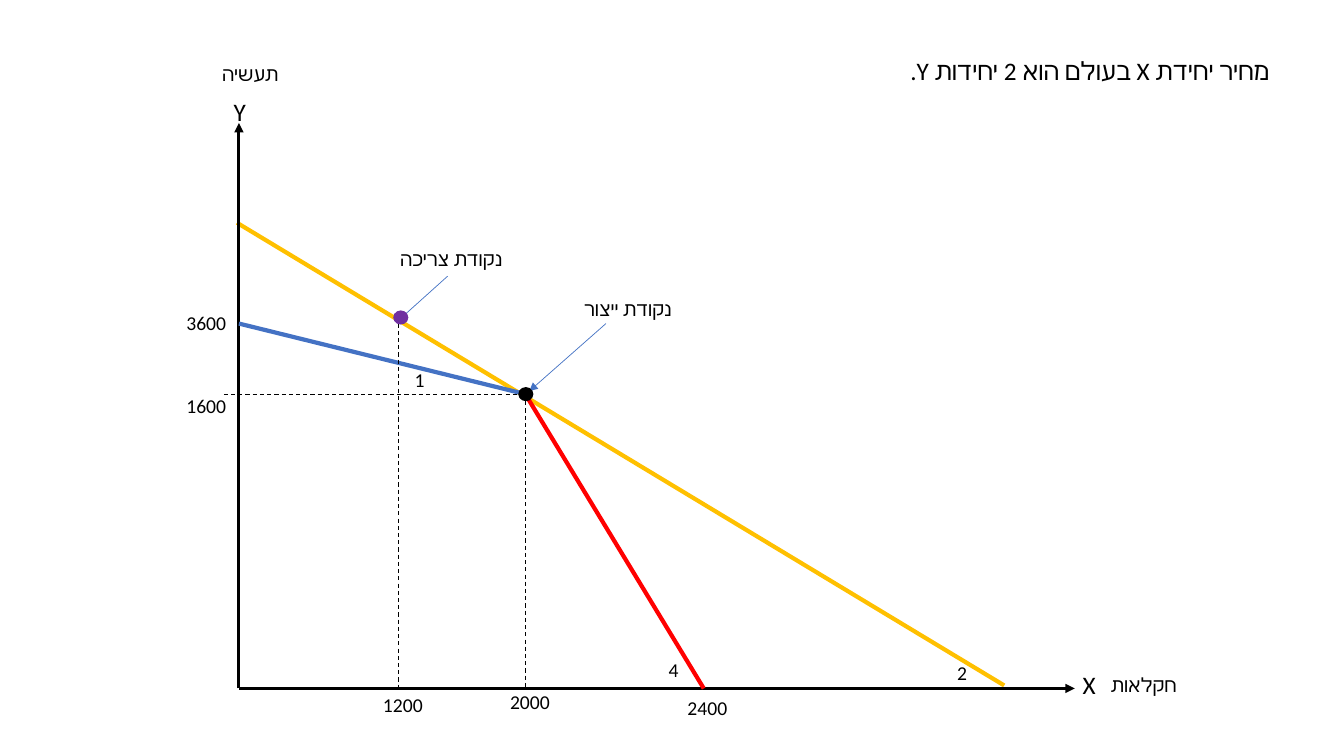
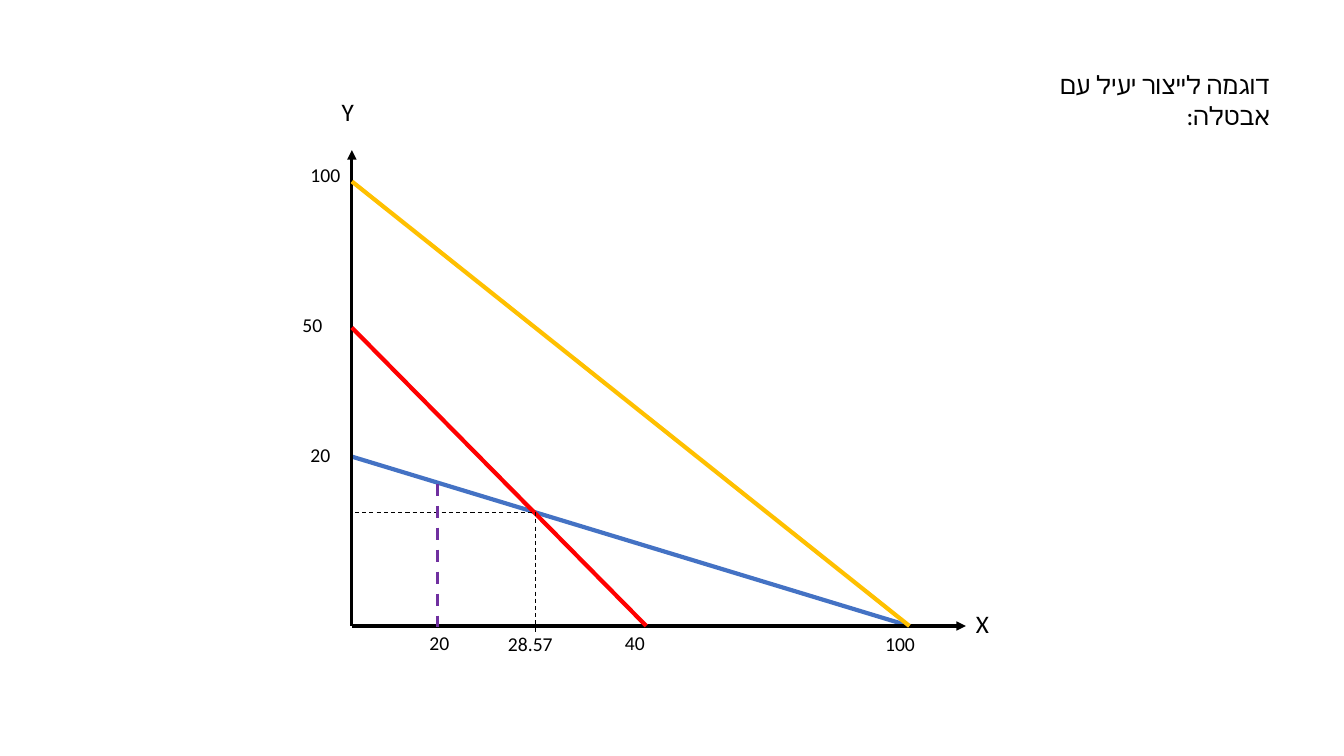
from dataclasses import dataclass

from lxml import etree
from pptx import Presentation
from pptx.dml.color import RGBColor
from pptx.enum.dml import MSO_LINE
from pptx.enum.shapes import MSO_CONNECTOR, MSO_SHAPE
from pptx.enum.text import MSO_ANCHOR, MSO_AUTO_SIZE, PP_ALIGN
from pptx.oxml.ns import qn
from pptx.util import Pt

PX = 9144
PAGE_SIZE = (1333, 750)
TITLE_ONLY = 5
DOT_SIZE = (15, 14)
LABEL_HEIGHT = 34
AXIS_NAME_SIZE = (40, 44)
STRAIGHT = MSO_CONNECTOR.STRAIGHT
OVAL = MSO_SHAPE.OVAL
DASH = MSO_LINE.DASH
TOP = MSO_ANCHOR.TOP
FIXED = MSO_AUTO_SIZE.NONE
LEFT, RIGHT = PP_ALIGN.LEFT, PP_ALIGN.RIGHT


@dataclass(frozen=True)
class Theme:
    font: str = "Calibri"
    title_size: int = 18
    label_size: int = 14
    black: str = "000000"
    blue: str = "4472C4"
    red: str = "FF0000"
    gold: str = "FFC000"
    purple: str = "7030A0"


THEME = Theme()

# Line styles: colour, width in points, dashed, arrowhead
STYLES = {
    "axis": (THEME.black, 2.25, False, True),
    "world": (THEME.gold, 3, False, False),
    "blue": (THEME.blue, 3, False, False),
    "red": (THEME.red, 3, False, False),
    "guide": (THEME.black, 0.75, True, False),
    "marker": (THEME.purple, 2.25, True, False),
    "pointer": (THEME.blue, 0.5, False, True),
}

PAGES = [
    {
        "title": ("מחיר יחידת X בעולם הוא 2 יחידות Y.", (888, 50, 381, 70)),
        "origin": (237, 683),
        "axis_ends": (1066, 122),
        "axis_names": [("X", 1064, 659), ("Y", 222, 91)],
        "lines_below": [("world", (235, 221), (996, 680))],
        "lines": [
            ("blue", (237, 321), (521, 391)),
            ("red", (521, 391), (698, 683)),
            ("guide", (222, 391), (514, 391)),
            ("guide", (521, 398), (521, 683)),
            ("guide", (395, 321), (395, 685)),
            ("pointer", (444, 274), (395, 318)),
            ("pointer", (601, 321), (525, 388)),
        ],
        "dots": [(THEME.black, 521, 391), (THEME.purple, 397, 315)],
        "values": [
            ("3600", 175, 304, 60), ("1600", 175, 386, 64),
            ("1200", 370, 683, 72), ("2000", 496, 680, 72), ("2400", 672, 685, 62),
        ],
        "notes": [
            ("1", 409, 360, 22), ("4", 661, 648, 22), ("2", 947, 651, 22),
            ("נקודת צריכה", 379, 240, 129), ("נקודת ייצור", 547, 290, 129),
            ("חקלאות", 1048, 663, 129), ("תעשיה", 157, 57, 129),
        ],
    },
    {
        "title": ("דוגמה לייצור יעיל עם אבטלה:", (964, 64, 306, 70)),
        "origin": (349, 621),
        "axis_ends": (958, 149),
        "axis_names": [("X", 958, 599), ("Y", 329, 91)],
        "lines_below": [("blue", (349, 453), (902, 621))],
        "lines": [
            ("world", (349, 180), (902, 621)),
            ("red", (349, 325), (641, 621)),
            ("guide", (352, 508), (529, 508)),
            ("guide", (531, 508), (531, 628)),
            ("marker", (434, 480), (434, 622)),
        ],
        "dots": [],
        "values": [
            ("100", 298, 157, 62), ("50", 290, 306, 62), ("20", 298, 434, 62),
            ("20", 416, 621, 41), ("28.57", 494, 622, 76),
            ("40", 610, 621, 62), ("100", 868, 622, 62),
        ],
        "notes": [],
    },
]


def scaled(*lengths):
    return [length * PX for length in lengths]


def write(shape, text, size, align):
    frame = shape.text_frame
    frame.word_wrap = True
    frame.auto_size = FIXED
    frame.vertical_anchor = TOP
    para = frame.paragraphs[0]
    para.alignment = align
    if align == RIGHT:
        para._p.get_or_add_pPr().set("rtl", "1")
    span = para.add_run()
    span.text = text
    span.font.size = Pt(size)
    span.font.name = THEME.font
    span.font.color.rgb = RGBColor.from_string(THEME.black)
    etree.SubElement(span.font._element, qn("a:cs"), typeface=THEME.font)


def add_label(page, text, bounds, size=THEME.label_size, align=LEFT):
    write(page.shapes.add_textbox(*scaled(*bounds)), text, size, align)


def add_line(shapes, style, start, end):
    color, width, dashed, arrow = STYLES[style]
    connector = shapes.add_connector(STRAIGHT, *scaled(*start, *end))
    connector.line.color.rgb = RGBColor.from_string(color)
    connector.line.width = Pt(width)
    if dashed:
        connector.line.dash_style = DASH
    if arrow:
        etree.SubElement(connector.line._get_or_add_ln(), qn("a:tailEnd"), type="triangle")
    etree.SubElement(connector._element.spPr, qn("a:effectLst"))


def add_dot(page, color, x, y):
    width, height = DOT_SIZE
    dot = page.shapes.add_shape(OVAL, *scaled(x - width // 2, y - height // 2, width, height))
    dot.shadow.inherit = False
    dot.fill.solid()
    dot.fill.fore_color.rgb = RGBColor.from_string(color)
    dot.line.fill.background()


def add_title(page, text, bounds):
    title = page.shapes.title
    title.left, title.top, title.width, title.height = scaled(*bounds)
    write(title, text, THEME.title_size, RIGHT)


def add_axes(page, origin, ends):
    axes = page.shapes.add_group_shape().shapes
    for end in [(origin[0], ends[1]), (ends[0], origin[1])]:
        add_line(axes, "axis", origin, end)


def build_page(deck, content):
    page = deck.slides.add_slide(deck.slide_layouts[TITLE_ONLY])
    add_title(page, *content["title"])
    for line in content["lines_below"]:
        add_line(page.shapes, *line)
    add_axes(page, content["origin"], content["axis_ends"])
    for line in content["lines"]:
        add_line(page.shapes, *line)
    for dot in content["dots"]:
        add_dot(page, *dot)
    for text, x, y in content["axis_names"]:
        add_label(page, text, (x, y, *AXIS_NAME_SIZE), THEME.title_size)
    for kind, align in [("values", LEFT), ("notes", RIGHT)]:
        for text, x, y, width in content[kind]:
            add_label(page, text, (x, y, width, LABEL_HEIGHT), align=align)


def main():
    deck = Presentation()
    deck.slide_width, deck.slide_height = scaled(*PAGE_SIZE)
    for content in PAGES:
        build_page(deck, content)
    deck.save("out.pptx")


if __name__ == "__main__":
    main()
